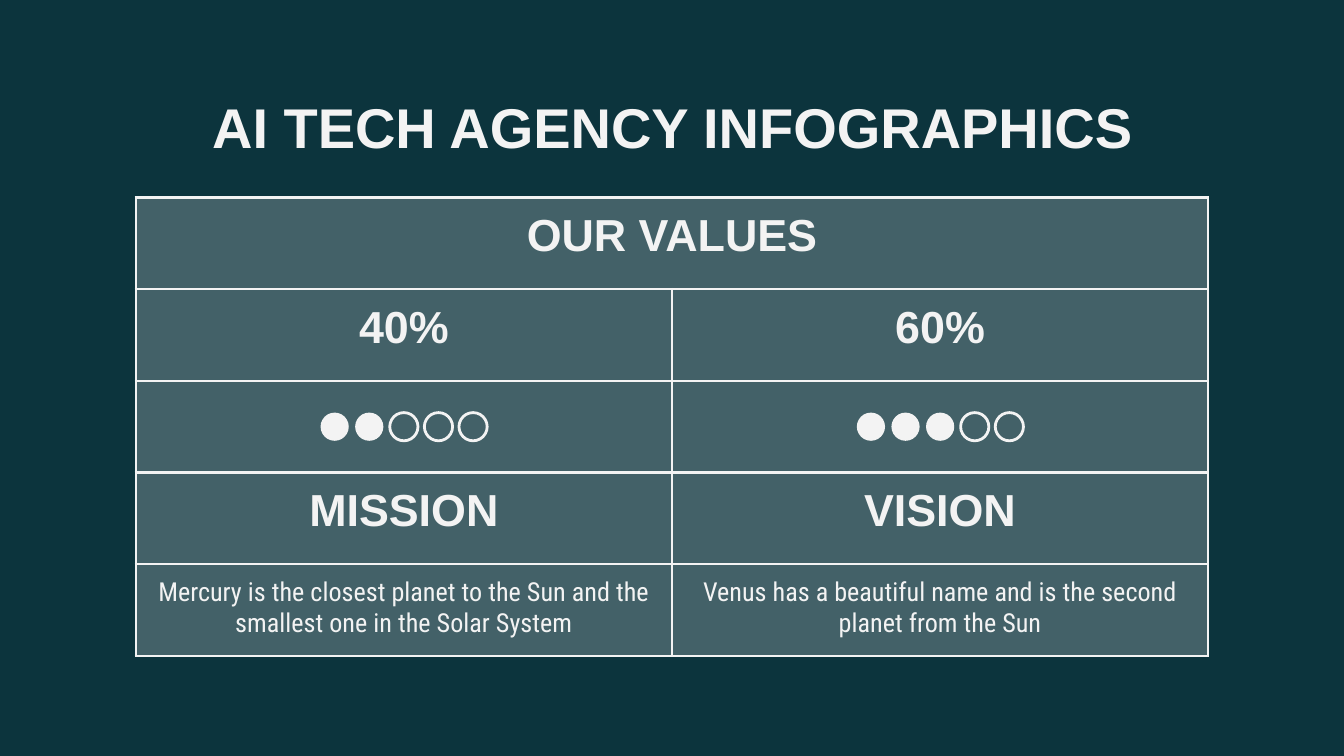
from lxml import etree
from pptx import Presentation
from pptx.dml.color import RGBColor
from pptx.enum.shapes import MSO_SHAPE
from pptx.enum.text import MSO_ANCHOR, MSO_AUTO_SIZE, PP_ALIGN
from pptx.oxml import parse_xml
from pptx.oxml.ns import nsdecls, qn
from pptx.util import Inches, Pt

ELLIPSE = MSO_SHAPE.OVAL
TOP = MSO_ANCHOR.TOP
NO_AUTOFIT = MSO_AUTO_SIZE.NONE
CENTER = PP_ALIGN.CENTER

COLORS = {"background": "0C343D", "light": "F3F3F3"}
HEADING_FONT = "Arial"
BODY_FONT = "Roboto Condensed"
CELL_OPACITY = 24
LINE_WIDTH = 1.5
DOT_SIZE = 0.21
DOT_COUNT = 5
DOTS_WIDTH = 1.24
DOT_ROW = 2
ROWS = [
    ("OUR VALUES", ""),
    ("40%", "60%"),
    ("", ""),
    ("MISSION", "VISION"),
    ("Mercury is the closest planet to the Sun and the smallest one in the Solar System",
     "Venus has a beautiful name and is the second planet from the Sun"),
]
FILLED_DOTS = (2, 3)


def color(name):
    """Return the named colour."""
    return RGBColor.from_string(COLORS[name])


def format_text(text_frame, size, font_name, bold):
    """Centre the text and set its font."""
    for paragraph in text_frame.paragraphs:
        paragraph.alignment = CENTER
        paragraph.font.size = Pt(size)
        paragraph.font.name = font_name
        paragraph.font.bold = bold
        paragraph.font.color.rgb = color("light")


def set_margins(box):
    """Give a cell or text frame equal margins."""
    box.margin_left = box.margin_right = Inches(0.1)
    box.margin_top = box.margin_bottom = Inches(0.1)


def add_title(slide, left, top, width, height):
    """Place and format the slide title."""
    title = slide.shapes.title
    title.left, title.top = Inches(left), Inches(top)
    title.width, title.height = Inches(width), Inches(height)
    text_frame = title.text_frame
    text_frame.text = "AI TECH AGENCY INFOGRAPHICS"
    text_frame.word_wrap = True
    text_frame.auto_size = NO_AUTOFIT
    text_frame.vertical_anchor = TOP
    set_margins(text_frame)
    format_text(text_frame, 30, HEADING_FONT, True)


def style_cell(cell):
    """Give a cell its margins, translucent fill and borders."""
    set_margins(cell)
    cell.fill.solid()
    cell.fill.fore_color.rgb = color("light")
    properties = cell._tc.get_or_add_tcPr()
    fill_color = properties.find(qn("a:solidFill"))[0]
    alpha = etree.SubElement(fill_color, qn("a:alpha"))
    alpha.set("val", str(CELL_OPACITY * 1000))
    for index, side in enumerate("LRTB"):
        properties.insert(index, parse_xml(
            f'<a:ln{side} {nsdecls("a")} w="{Pt(LINE_WIDTH)}"><a:solidFill>'
            f'<a:srgbClr val="{COLORS["light"]}"/></a:solidFill></a:ln{side}>'))


def add_dots(slide, center_x, center_y, filled):
    """Draw a centred row of rating dots, the first ones filled."""
    left = center_x - DOTS_WIDTH / 2
    pitch = (DOTS_WIDTH - DOT_SIZE) / (DOT_COUNT - 1)
    for index in range(DOT_COUNT):
        dot = slide.shapes.add_shape(
            ELLIPSE, Inches(left + index * pitch),
            Inches(center_y - DOT_SIZE / 2), Inches(DOT_SIZE), Inches(DOT_SIZE))
        dot.shadow.inherit = False
        if index < filled:
            dot.fill.solid()
            dot.fill.fore_color.rgb = color("light")
            dot.line.fill.background()
        else:
            dot.fill.background()
            dot.line.color.rgb = color("light")
            dot.line.width = Pt(LINE_WIDTH)


def add_values_table(slide, left, top, width, height):
    """Draw the values table with a rating in each column."""
    column_count = len(FILLED_DOTS)
    table = slide.shapes.add_table(
        len(ROWS), column_count, Inches(left), Inches(top),
        Inches(width), Inches(height)).table
    table.first_row = False
    table.horz_banding = False
    for row_index, texts in enumerate(ROWS):
        is_body = row_index == len(ROWS) - 1
        for column_index, text in enumerate(texts):
            cell = table.cell(row_index, column_index)
            style_cell(cell)
            if text:
                cell.text = text
                format_text(cell.text_frame, 14 if is_body else 24,
                            BODY_FONT if is_body else HEADING_FONT, not is_body)
    table.cell(0, 0).merge(table.cell(0, column_count - 1))
    center_y = top + (DOT_ROW + 0.5) * height / len(ROWS)
    for column_index, filled in enumerate(FILLED_DOTS):
        center_x = left + (column_index + 0.5) * width / column_count
        add_dots(slide, center_x, center_y, filled)


def main():
    """Build and save the presentation."""
    presentation = Presentation()
    presentation.slide_width = Inches(10)
    presentation.slide_height = Inches(10) * 9 // 16
    slide = presentation.slides.add_slide(presentation.slide_layouts[5])
    slide.background.fill.solid()
    slide.background.fill.fore_color.rgb = color("background")
    add_title(slide, 0.79, 0.59, 8.43, 0.63)
    add_values_table(slide, 1.01, 1.47, 7.98, 3.41)
    presentation.save("out.pptx")


if __name__ == "__main__":
    main()
